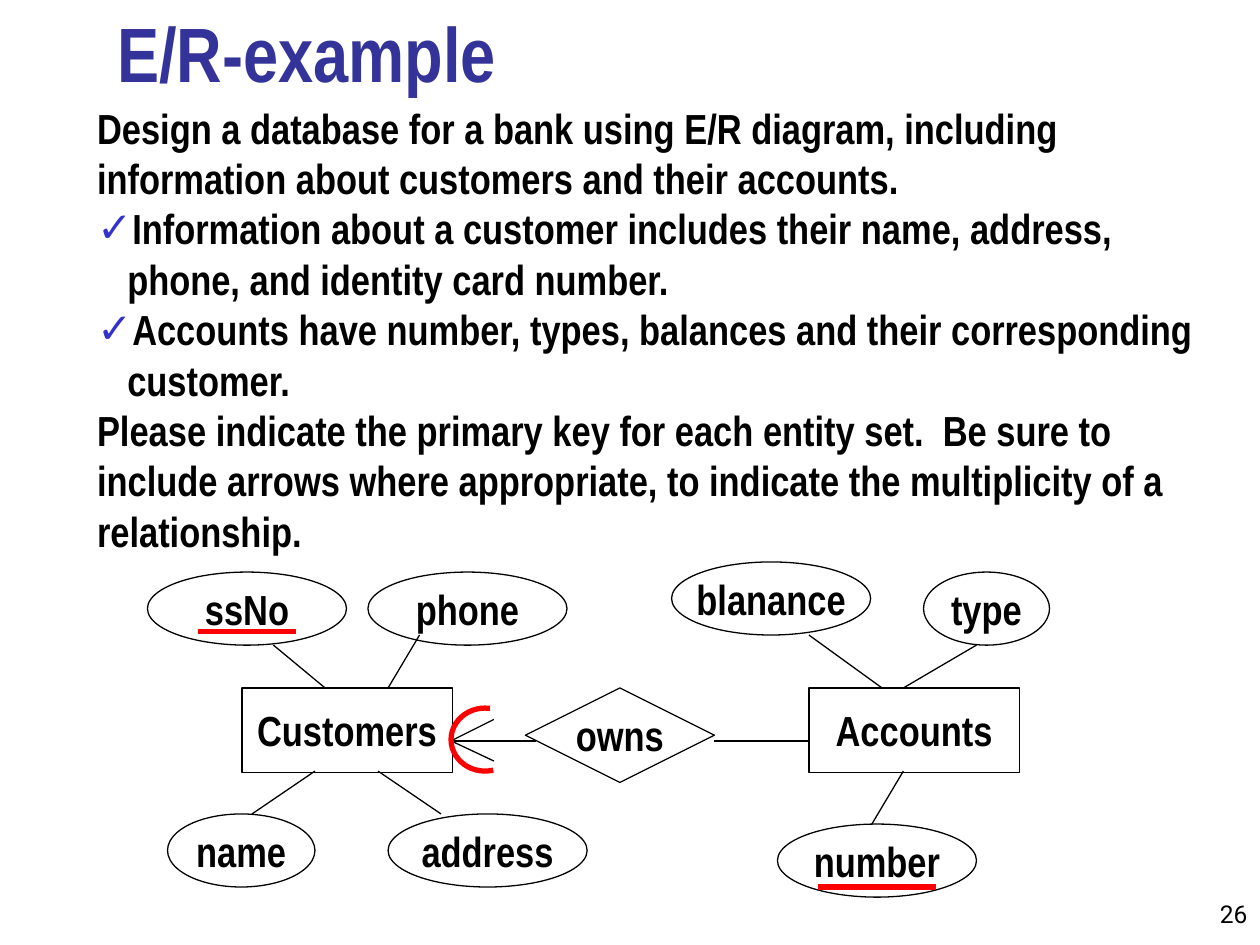
from lxml.etree import SubElement
from pptx import Presentation
from pptx.dml.color import RGBColor
from pptx.enum.shapes import MSO_CONNECTOR, MSO_SHAPE
from pptx.enum.text import MSO_ANCHOR, MSO_AUTO_SIZE, PP_ALIGN
from pptx.oxml.ns import qn
from pptx.util import Inches, Pt

FONT = "Arial Narrow"
BLACK, RED, TITLE_BLUE, BULLET_BLUE = "000000", "FF0000", "333399", "3333CC"

TITLE = "E/R-example"
BODY = [
    ("Design a database for a bank using E/R diagram, including information "
     "about customers and their accounts.", False),
    ("Information about a customer includes their name, address, phone, "
     "and identity card number.", True),
    ("Accounts have number, types, balances and their corresponding customer.", True),
    ("Please indicate the primary key for each entity set.  Be sure to include arrows "
     "where appropriate, to indicate the multiplicity of a relationship.", False),
]
ENTITIES = [("Customers", 1.92, 5.46), ("Accounts", 6.42, 5.46)]
RELATIONSHIPS = [("owns", 4.17, 5.46)]
ATTRIBUTES = [
    ("phone", 2.92, 4.54, 1.58), ("name", 1.33, 6.46, 1.17),
    ("address", 3.08, 6.46, 1.58), ("ssNo", 1.17, 4.54, 1.58),
    ("blanance", 5.33, 4.46, 1.58), ("number", 6.17, 6.54, 1.58),
    ("type", 7.33, 4.54, 1),
]
RELATIONSHIP_LINES = [(4.25, 5.88, 3.58, 5.88), (5.67, 5.88, 6.42, 5.88)]
ATTRIBUTE_LINES = [
    (2.58, 5.46, 2.17, 5.12), (3.08, 5.46, 3.33, 5.04),
    (2.5, 6.12, 2, 6.46), (3, 6.12, 3.5, 6.46),
    (6.42, 5.04, 7, 5.46), (7.75, 5.12, 7.17, 5.46), (7.17, 6.12, 6.92, 6.54),
]
ARROW_LINES = [(3.92, 5.71, 3.58, 5.88), (3.58, 5.88, 3.92, 6.04)]
KEY_UNDERLINES = [(1.57, 5.01, 2.35, 5.01), (6.49, 7.04, 7.43, 7.04)]


def color(hex_string):
    """Turn a hex string into a colour."""
    return RGBColor.from_string(hex_string)


def place(shape, left, top, width, height):
    """Move and size a shape in inches."""
    shape.left, shape.top = Inches(left), Inches(top)
    shape.width, shape.height = Inches(width), Inches(height)


def add_run(paragraph, text, size=24, hex_string=BLACK, font=FONT, bold=True):
    """Add one formatted run."""
    run = paragraph.add_run()
    run.text = text
    run.font.name, run.font.size, run.font.bold = font, Pt(size), bold
    run.font.color.rgb = color(hex_string)


def set_bullet(paragraph, checked):
    """Give a paragraph a check mark, or no bullet."""
    properties = paragraph._p.get_or_add_pPr()
    indent = Inches(0.24) if checked else 0
    properties.set("marL", str(indent))
    properties.set("indent", str(-indent))
    if checked:
        bullet_color = SubElement(properties, qn("a:buClr"))
        SubElement(bullet_color, qn("a:srgbClr")).set("val", BULLET_BLUE)
        SubElement(properties, qn("a:buChar")).set("char", "✓")
    else:
        SubElement(properties, qn("a:buNone"))


def add_outline(slide, preset, left, top, width, height, hex_string=BLACK, weight=0.75):
    """Add an unfilled preset shape."""
    shape = slide.shapes.add_shape(
        preset, Inches(left), Inches(top), Inches(width), Inches(height))
    shape.shadow.inherit = False
    shape.fill.background()
    shape.line.color.rgb = color(hex_string)
    shape.line.width = Pt(weight)
    return shape


def add_node(slide, preset, label, left, top, width, height):
    """Add a labelled diagram node."""
    frame = add_outline(slide, preset, left, top, width, height).text_frame
    frame.word_wrap = False
    frame.vertical_anchor = MSO_ANCHOR.MIDDLE
    frame.paragraphs[0].alignment = PP_ALIGN.CENTER
    add_run(frame.paragraphs[0], label)


def add_line(slide, ends, hex_string=BLACK, weight=0.75):
    """Add a straight line without a shadow."""
    line = slide.shapes.add_connector(
        MSO_CONNECTOR.STRAIGHT, *(Inches(value) for value in ends))
    line.line.color.rgb = color(hex_string)
    line.line.width = Pt(weight)
    SubElement(line._element.spPr, qn("a:effectLst"))


def add_texts(slide):
    """Fill the title, the body and the slide number."""
    title, body = slide.placeholders
    place(title, 0.83, 0.08, 8.52, 0.75)
    title.text_frame.vertical_anchor = MSO_ANCHOR.BOTTOM
    title.text_frame.auto_size = MSO_AUTO_SIZE.NONE
    title.text_frame.paragraphs[0].alignment = PP_ALIGN.LEFT
    add_run(title.text_frame.paragraphs[0], TITLE, 44, TITLE_BLUE)

    place(body, 0.67, 0.76, 9.08, 3.69)
    frame = body.text_frame
    frame.auto_size = MSO_AUTO_SIZE.SHAPE_TO_FIT_TEXT
    for index, (text, checked) in enumerate(BODY):
        paragraph = frame.add_paragraph() if index else frame.paragraphs[0]
        paragraph.space_before = Pt(0)
        set_bullet(paragraph, checked)
        add_run(paragraph, text)

    number = slide.shapes.add_textbox(
        Inches(9.33), Inches(6.92), Inches(0.67), Inches(0.5)).text_frame
    number.word_wrap = True
    number.vertical_anchor = MSO_ANCHOR.BOTTOM
    number.paragraphs[0].alignment = PP_ALIGN.RIGHT
    add_run(number.paragraphs[0], "26", 14, font="Roboto", bold=False)


def add_diagram(slide):
    """Draw the entities, attributes and relationship."""
    for label, left, top in ENTITIES:
        add_node(slide, MSO_SHAPE.RECTANGLE, label, left, top, 1.67, 0.67)
    for label, left, top in RELATIONSHIPS:
        add_node(slide, MSO_SHAPE.DIAMOND, label, left, top, 1.5, 0.75)
    for label, left, top, width in ATTRIBUTES:
        add_node(slide, MSO_SHAPE.OVAL, label, left, top, width, 0.58)
    for ends in RELATIONSHIP_LINES + ATTRIBUTE_LINES + ARROW_LINES:
        add_line(slide, ends)
    for ends in KEY_UNDERLINES:
        add_line(slide, ends, RED, 3)
    arc = add_outline(slide, MSO_SHAPE.ARC, 3.58, 5.62, 0.54, 0.5, RED, 3)
    for index, degrees in enumerate((75, 279)):
        arc.adjustments[index] = degrees * 0.6


def main():
    """Build and save the slide."""
    presentation = Presentation()
    presentation.slide_width, presentation.slide_height = Inches(10), Inches(7.5)
    slide = presentation.slides.add_slide(presentation.slide_layouts[1])
    slide.background.fill.solid()
    slide.background.fill.fore_color.rgb = color("FFFFFF")
    add_texts(slide)
    add_diagram(slide)
    presentation.save("out.pptx")


if __name__ == "__main__":
    main()
